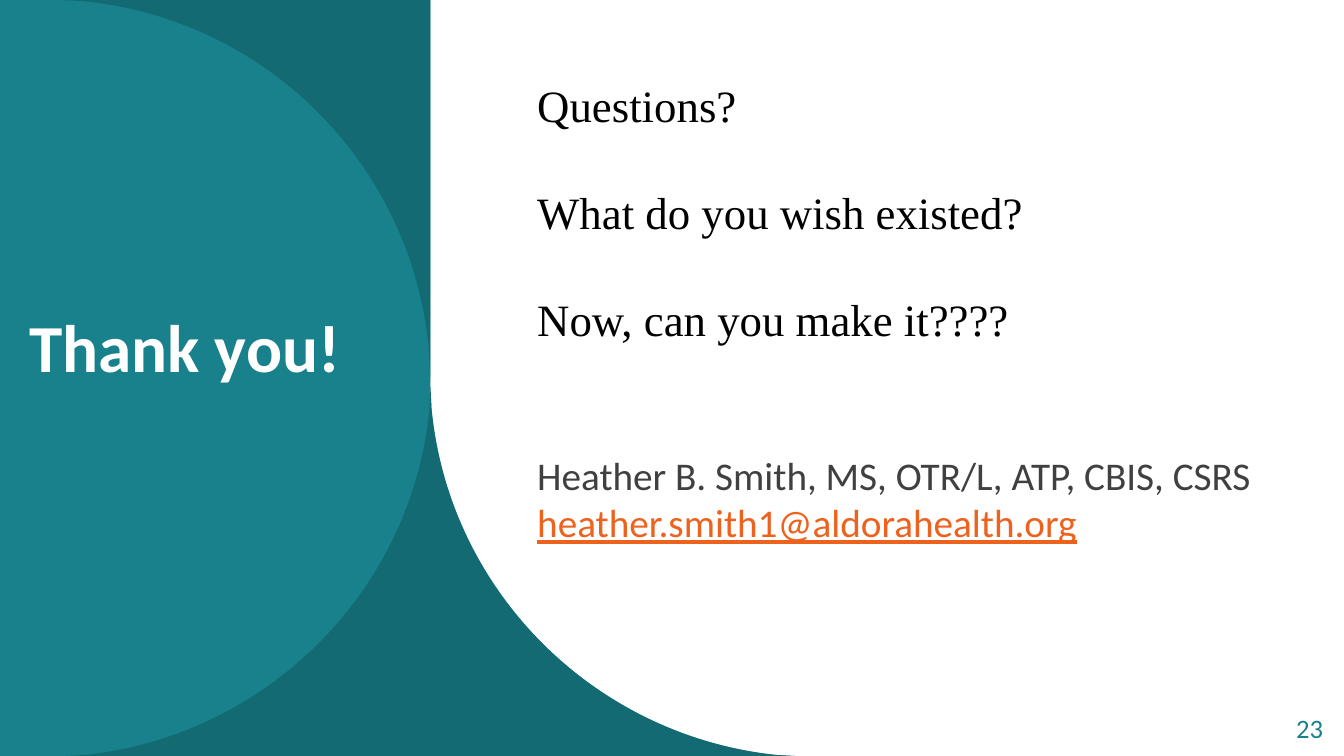
import pptx
import pptx.dml.color
import pptx.enum.shapes
import pptx.enum.text
import pptx.oxml.ns
import pptx.util
from lxml import etree

Inches = pptx.util.Inches
Pt = pptx.util.Pt
qn = pptx.oxml.ns.qn
ALIGN = pptx.enum.text.PP_ALIGN
ANCHOR = pptx.enum.text.MSO_ANCHOR

TEAL = "18818C"
DARK_TEAL = "126169"
WHITE = "FFFFFF"
ORANGE = "ED621D"


def rgb(value):
    return pptx.dml.color.RGBColor.from_string(value)


def bend(sp, curve_starts):
    """Turn the three line segments from each start index into one Bezier curve."""
    segments = list(sp._element.iter(qn("a:lnTo")))
    for start in curve_starts:
        cubic = etree.Element(qn("a:cubicBezTo"))
        segments[start].addprevious(cubic)
        for segment in segments[start:start + 3]:
            cubic.append(segment[0])
            segment.getparent().remove(segment)


def add_text(p, text, size, color, font="Calibri", bold=False, underline=False):
    r = p.add_run()
    r.text = text
    r.font.name = font
    r.font.size = Pt(size)
    r.font.bold = bold
    r.font.underline = underline
    r.font.color.rgb = rgb(color)


class SlideBuilder:
    def __init__(self, prs):
        self.s = prs.slides.add_slide(prs.slide_layouts[6])

    def style(self, sp, color, opacity=100):
        sp.shadow.inherit = False
        sp.line.fill.background()
        sp.fill.solid()
        sp.fill.fore_color.rgb = rgb(color)
        if opacity < 100:
            clr = sp._element.spPr.find(qn("a:solidFill"))[0]
            etree.SubElement(clr, qn("a:alpha")).set("val", str(opacity * 1000))

    def rectangle(self, left, top, width, height, color):
        sp = self.s.shapes.add_shape(
            pptx.enum.shapes.MSO_SHAPE.RECTANGLE,
            Inches(left), Inches(top), Inches(width), Inches(height))
        self.style(sp, color)

    def outline(self, points, curve_starts, color, opacity=100):
        corners = [(Inches(x), Inches(y)) for x, y in points]
        builder = self.s.shapes.build_freeform(*corners[0])
        builder.add_line_segments(corners[1:], close=True)
        sp = builder.convert_to_shape()
        bend(sp, curve_starts)
        self.style(sp, color, opacity)

    def text_box(self, left, top, width, height, anchor=ANCHOR.TOP):
        box = self.s.shapes.add_textbox(
            Inches(left), Inches(top), Inches(width), Inches(height))
        tf = box.text_frame
        tf.word_wrap = True
        tf.vertical_anchor = anchor
        return tf


def main():
    prs = pptx.Presentation()
    prs.slide_width = Inches(13.33)
    prs.slide_height = Inches(7.5)
    slide = SlideBuilder(prs)

    slide.rectangle(0, 0, 13.33, 7.5, WHITE)
    slide.rectangle(-0.01, 0, 4.28, 7.51, TEAL)
    upper_corner = [(0.6, 0), (4.27, 0), (4.27, 3.79), (4.25, 3.43),
                    (4.07, 1.62), (2.63, 0.18), (0.81, 0.01)]
    slide.outline(upper_corner, [3], DARK_TEAL, 70)

    axis = 4.27
    left_side = [(0.48, 7.51), (0.84, 7.49), (2.65, 7.3), (4.09, 5.86), (4.26, 4.05)]
    right_side = [(2 * axis - x, y) for x, y in reversed(left_side)]
    lower_flare = left_side + [(axis, 3.84)] + right_side
    for color, opacity in ((TEAL, 100), (DARK_TEAL, 70)):
        slide.outline(lower_flare, [1, 6], color, opacity)

    title = slide.text_box(0.19, 0.53, 3.91, 5.79, ANCHOR.MIDDLE)
    add_text(title.paragraphs[0], "Thank you!", 48, WHITE, bold=True)

    number = slide.text_box(12.46, 7.04, 0.76, 0.4, ANCHOR.MIDDLE)
    p = number.paragraphs[0]
    p.alignment = ALIGN.RIGHT
    p.line_spacing = 0.9
    p.space_after = Pt(6)
    add_text(p, "23", 19, TEAL)

    question = dict(size=32, color="000000", font="Times New Roman")
    lines = [
        ("Questions?", 0, question),
        ("What do you wish existed?", 38, question),
        ("Now, can you make it????", 38, question),
        ("Heather B. Smith, MS, OTR/L, ATP, CBIS, CSRS", 76,
         dict(size=28, color="404040")),
        ("heather.smith1@aldorahealth.org", 0,
         dict(size=28, color=ORANGE, underline=True)),
    ]
    body = slide.text_box(5.23, 0.72, 7.99, 6.16)
    for i, (text, gap, text_format) in enumerate(lines):
        p = body.add_paragraph() if i else body.paragraphs[0]
        if gap:
            p.space_before = Pt(gap)
        add_text(p, text, **text_format)

    prs.save("out.pptx")


if __name__ == "__main__":
    main()
